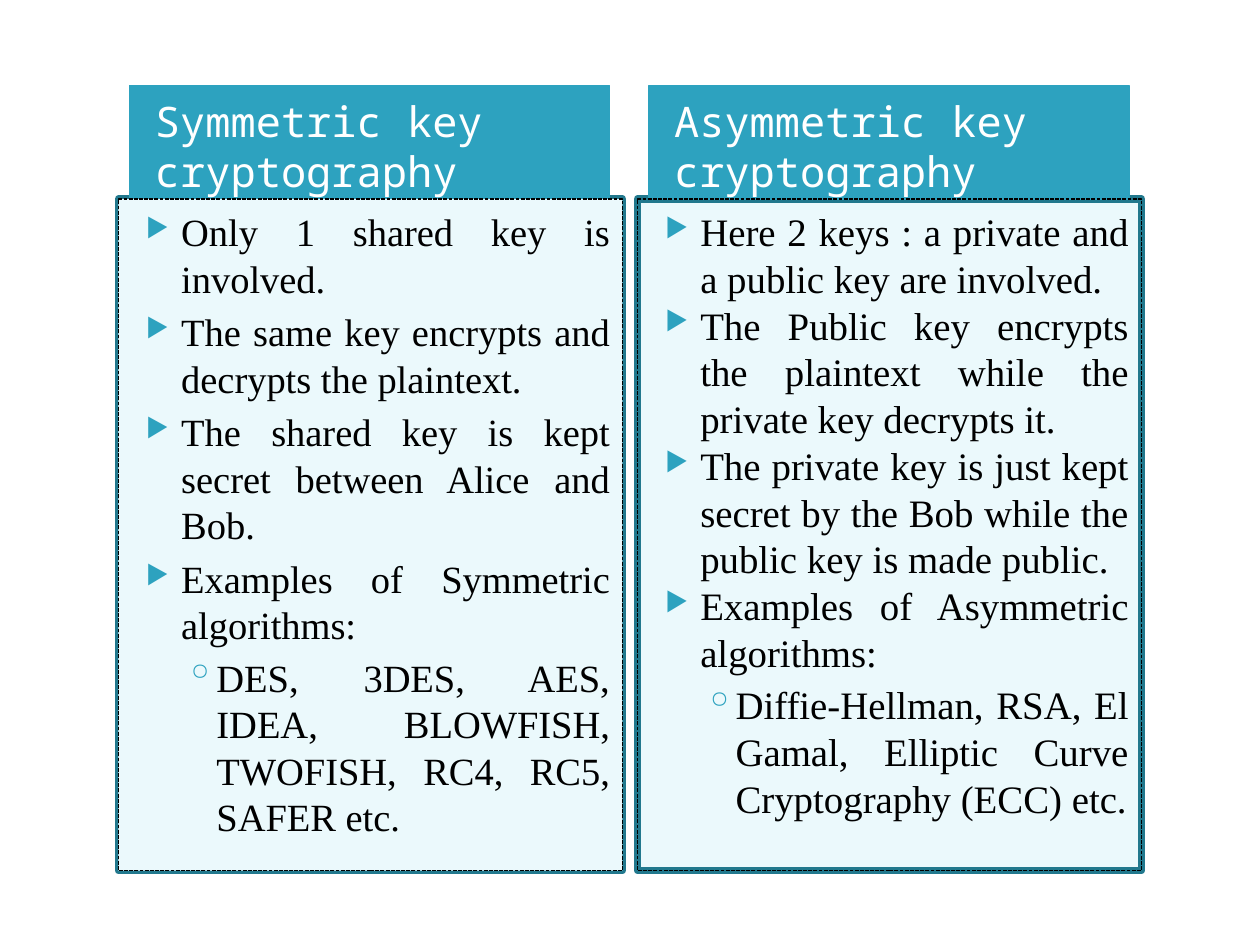
from pptx import Presentation
from pptx.dml.color import RGBColor
from pptx.enum import dml, shapes, text
from pptx.oxml.xmlchemy import OxmlElement
from pptx.util import Inches, Pt

COLORS = {"teal": "2DA2BF", "edge": "21788D", "pale": "EBF9FC",
          "white": "FFFFFF", "black": "000000"}
BULLETS = (("▶", 68, 0.4, -0.28), ("◦", 100, 0.68, -0.25))
PANEL_TOP, PANEL_W, PANEL_H = 1.58, 4, 5.33
COLUMNS = (
    {"left": 0.94, "frame": "teal", "panel": "pale", "size": 22, "leading": 26.6, "gap": 4,
     "heading": "Symmetric key cryptography",
     "items": (("Only 1 shared key is involved.", 0),
               ("The same key encrypts and decrypts the plaintext.", 0),
               ("The shared key is kept secret between Alice and Bob.", 0),
               ("Examples of Symmetric algorithms:", 0),
               ("DES, 3DES, AES, IDEA, BLOWFISH, TWOFISH, RC4, RC5, SAFER etc.", 1))},
    {"left": 5.06, "frame": "pale", "panel": None, "size": 22.2, "leading": 26.7, "gap": 0,
     "heading": "Asymmetric key cryptography",
     "items": (("Here 2 keys : a private and a public key are involved.", 0),
               ("The Public key encrypts the plaintext while the private key decrypts it.", 0),
               ("The private key is just kept secret by the Bob while the public key "
                "is made public.", 0),
               ("Examples of Asymmetric algorithms:", 0),
               ("Diffie-Hellman, RSA, El Gamal, Elliptic Curve Cryptography (ECC) etc.", 1))},
)


def rgb(name):
    """Return the named colour."""
    return RGBColor.from_string(COLORS[name])


def add_box(s, left, top, width, height, fill, line, weight, dashed=False):
    """Add a rectangle with the given fill and outline."""
    sp = s.shapes.add_shape(shapes.MSO_SHAPE.RECTANGLE, Inches(left), Inches(top),
                            Inches(width), Inches(height))
    sp.shadow.inherit = False
    if fill:
        sp.fill.solid()
        sp.fill.fore_color.rgb = rgb(fill)
    else:
        sp.fill.background()
    sp.line.color.rgb = rgb(line)
    sp.line.width = Pt(weight)
    if dashed:
        sp.line.dash_style = dml.MSO_LINE.SQUARE_DOT
    return sp


def set_frame(sp, anchor, left, top):
    """Set the anchor and insets of a shape's text frame and return it."""
    tf = sp.text_frame
    tf.word_wrap = True
    tf.vertical_anchor = anchor
    tf.margin_left, tf.margin_top = Inches(left), Inches(top)
    tf.margin_right, tf.margin_bottom = Inches(0.1), Inches(0.05)
    return tf


def add_bullet(p, level):
    """Give a paragraph the bullet and hanging indent of its level."""
    char, size, margin, indent = BULLETS[level]
    p.level = level
    pPr = p._p.get_or_add_pPr()
    pPr.set("marL", str(Inches(margin)))
    pPr.set("indent", str(Inches(indent)))
    color = OxmlElement("a:buClr")
    rgb_el = OxmlElement("a:srgbClr")
    rgb_el.set("val", COLORS["teal"])
    color.append(rgb_el)
    scale = OxmlElement("a:buSzPct")
    scale.set("val", str(size * 1000))
    bullet = OxmlElement("a:buChar")
    bullet.set("char", char)
    for el in (color, scale, bullet):
        pPr.append(el)


def write(p, words, *, font, size, color, align, leading, before=0, level=None):
    """Write text into a paragraph with the given format."""
    p.alignment = align
    p.line_spacing = Pt(leading)
    p.space_before = Pt(before)
    if level is not None:
        add_bullet(p, level)
    r = p.add_run()
    r.text = words
    r.font.name = font
    r.font.size = Pt(size)
    r.font.color.rgb = rgb(color)


def add_heading(s, column):
    """Add the teal heading above a column."""
    sp = add_box(s, column["left"] + 0.09, 0.68, 3.81, 0.9, "teal", "teal", 0.75)
    tf = set_frame(sp, text.MSO_ANCHOR.MIDDLE, 0.2, 0.1)
    write(tf.paragraphs[0], column["heading"], font="Noto Sans Mono", size=24,
          color="white", align=text.PP_ALIGN.LEFT, leading=28.6)


def add_panel(s, column):
    """Add the dashed panel with a column's bulleted points."""
    sp = add_box(s, column["left"], PANEL_TOP, PANEL_W, PANEL_H,
                 column["panel"], "black", 0.75, dashed=True)
    tf = set_frame(sp, text.MSO_ANCHOR.TOP, 0.1, 0.07)
    for i, (words, level) in enumerate(column["items"]):
        p = tf.add_paragraph() if i else tf.paragraphs[0]
        before = 3.2 if level else column["gap"]
        write(p, words, font="Times New Roman", size=column["size"], color="black",
              align=text.PP_ALIGN.JUSTIFY, leading=column["leading"],
              before=before if i else 0, level=level)


def main():
    """Build the comparison slide."""
    prs = Presentation()
    prs.slide_width, prs.slide_height = Inches(10), Inches(7.5)
    s = prs.slides.add_slide(prs.slide_layouts[6])
    for column in COLUMNS:
        add_box(s, column["left"], PANEL_TOP, PANEL_W, PANEL_H, column["frame"], "edge", 4.33)
    for column in COLUMNS:
        add_heading(s, column)
        add_panel(s, column)
    prs.save("out.pptx")


if __name__ == "__main__":
    main()
